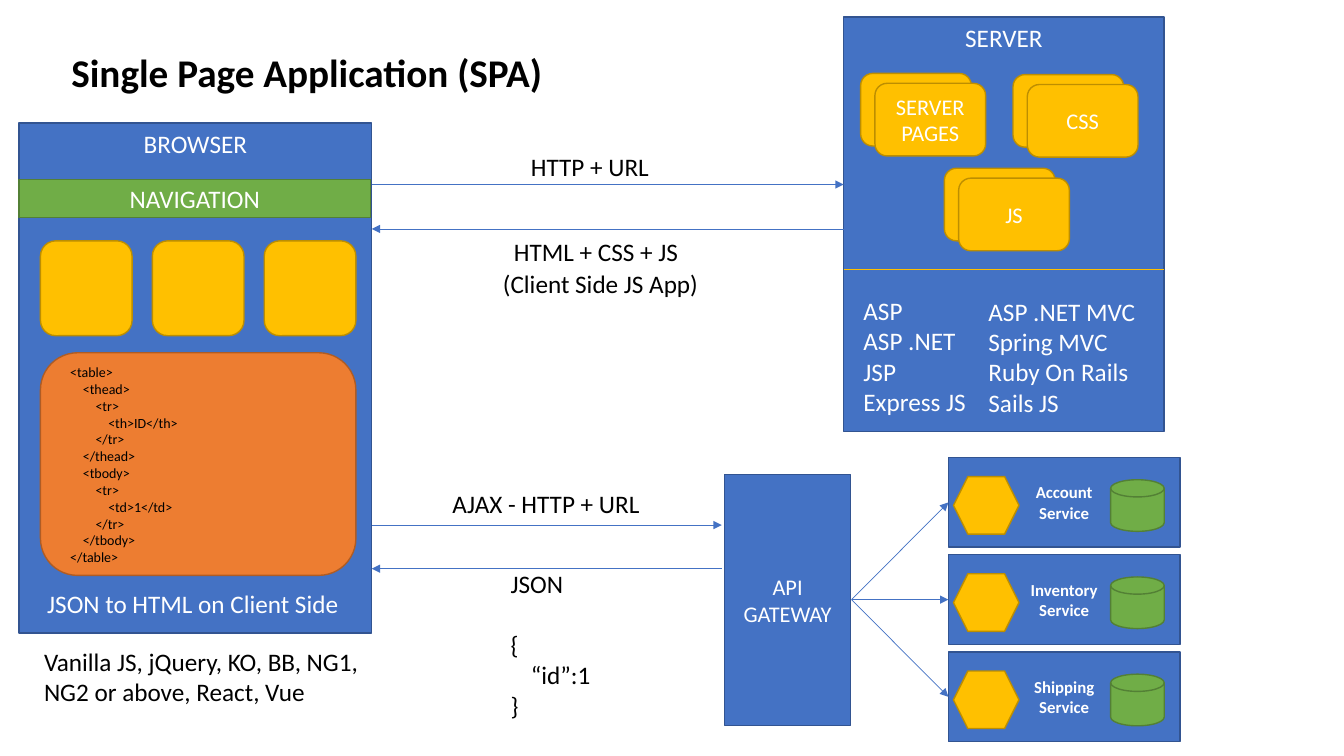
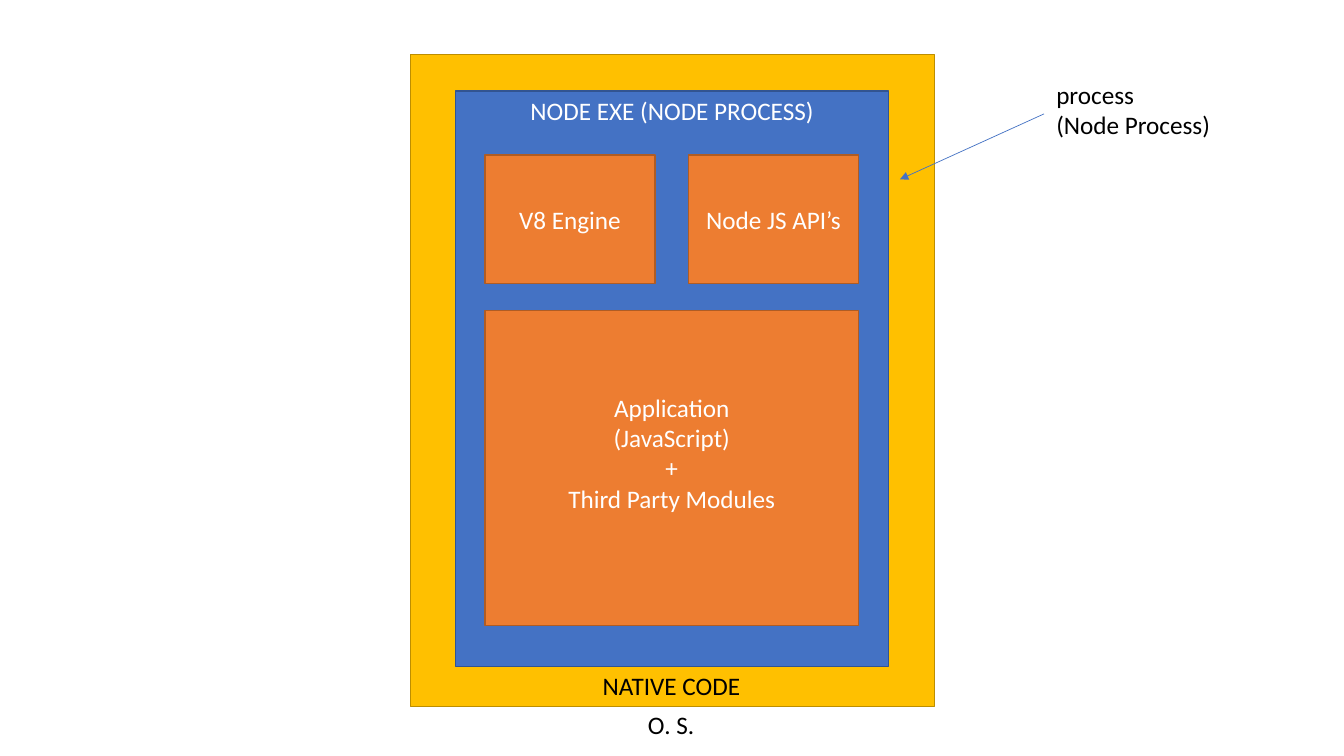
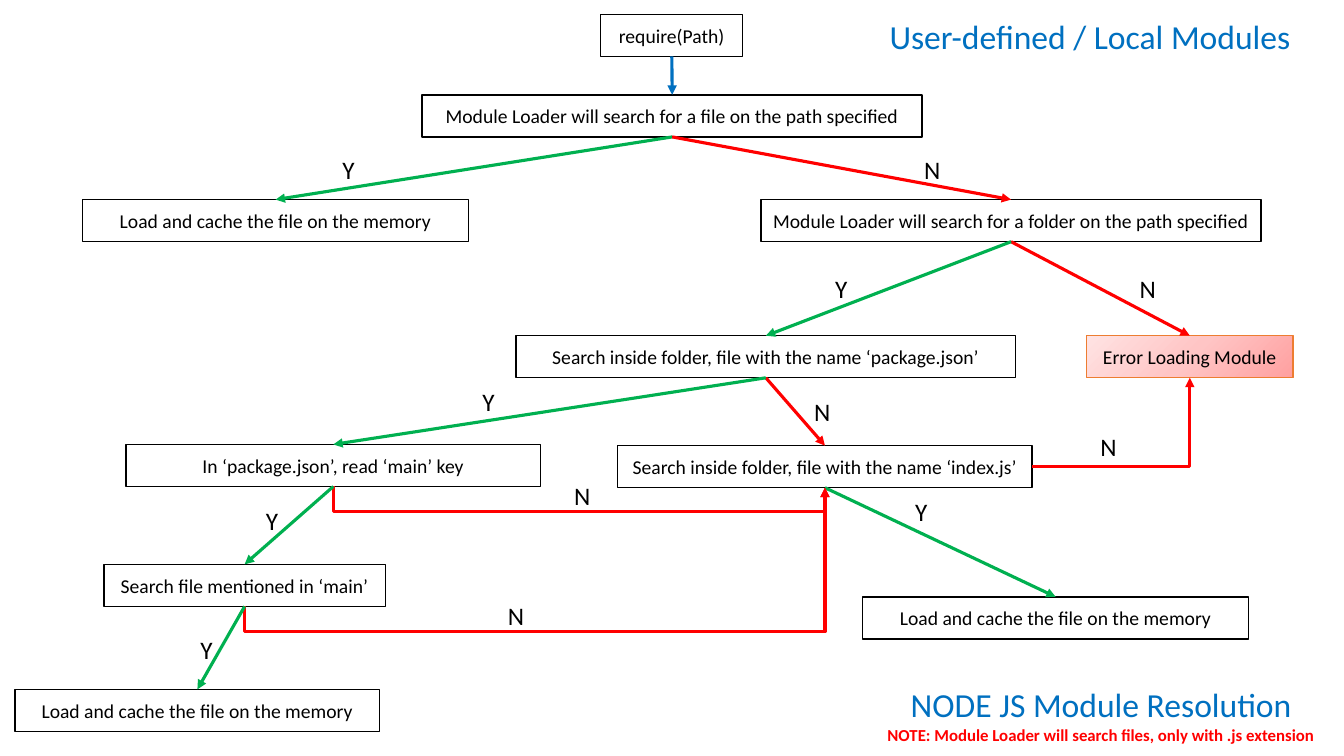
from lxml import etree
from pptx import Presentation
from pptx import util as u
from pptx.dml.color import RGBColor
from pptx.enum import shapes as sh, text as tx
from pptx.oxml import parse_xml
from pptx.oxml.ns import nsdecls, qn

FONT = "Calibri"
BLACK, WHITE, RED = "000000", "FFFFFF", "FF0000"
GREEN_ARROW, HEADING_BLUE = "00B050", "0070C0"
# (fill, outline) pairs
BLUE = ("4472C4", "325491")
GOLD = ("FFC000", "BD8E00")
GREEN = ("70AD47", "538035")
ORANGE = ("ED7D31", "AF5C24")
PLAIN = (WHITE, BLACK)

RECT = sh.MSO_SHAPE.RECTANGLE
ROUND = sh.MSO_SHAPE.ROUNDED_RECTANGLE
TOP, MIDDLE = tx.MSO_ANCHOR.TOP, tx.MSO_ANCHOR.MIDDLE
LEFT, CENTER = tx.PP_ALIGN.LEFT, tx.PP_ALIGN.CENTER
# connection sites of a rectangle
SITE_TOP, SITE_BOTTOM, SITE_RIGHT = 0, 2, 3


def rgb(value):
    return RGBColor.from_string(value)


# ---------- text ----------
def add_line(frame, words, size, color, bold=False, align=LEFT):
    first = frame.paragraphs[0]
    line = frame.add_paragraph() if first.runs else first
    line.alignment = align
    run = line.add_run()
    run.text = words
    run.font.name, run.font.size = FONT, u.Pt(size)
    run.font.bold = bold
    run.font.color.rgb = rgb(color)
    return line


def indent(line, distance):
    line._p.get_or_add_pPr().set("marL", str(u.Cm(distance)))


def label(slide, x, y, w, h, lines, size=18, color=BLACK, bold=False,
          align=LEFT, wrap=False):
    box = slide.shapes.add_textbox(u.Cm(x), u.Cm(y), u.Cm(w), u.Cm(h))
    frame = box.text_frame
    frame.word_wrap = wrap
    frame.auto_size = tx.MSO_AUTO_SIZE.SHAPE_TO_FIT_TEXT
    for words in lines:
        add_line(frame, words, size, color, bold, align)
    return frame


# ---------- shapes ----------
def block(parent, x, y, w, h, colors, lines=(), size=18, color=WHITE,
          bold=False, anchor=MIDDLE, kind=RECT):
    shape = parent.shapes.add_shape(kind, u.Cm(x), u.Cm(y), u.Cm(w), u.Cm(h))
    shape.shadow.inherit = False
    fill, outline = colors
    shape.fill.solid()
    shape.fill.fore_color.rgb = rgb(fill)
    shape.line.color.rgb = rgb(outline)
    shape.line.width = u.Pt(1)
    shape.text_frame.vertical_anchor = anchor
    for words in lines:
        add_line(shape.text_frame, words, size, color, bold, CENTER)
    return shape


def stack(slide, x, y, name):
    """Two overlapping cards, the front one named."""
    pair = slide.shapes.add_group_shape()
    for shift, lines in ((0, ()), (1, (name,))):
        block(pair, x + 0.36 * shift, y + 0.25 * shift, 2.79, 1.83, GOLD,
              lines, size=16, kind=ROUND)


def service(slide, x, y, name):
    unit = slide.shapes.add_group_shape()
    block(unit, x, y, 5.84, 2.26, BLUE, (name, "Service"), size=12, bold=True)
    block(unit, x + 0.13, y + 0.48, 1.65, 1.45, GOLD, kind=sh.MSO_SHAPE.HEXAGON)
    block(unit, x + 4.09, y + 0.56, 1.35, 1.3, GREEN,
          kind=sh.MSO_SHAPE.FLOWCHART_MAGNETIC_DISK)


def pink_gradient(shape):
    stops = "".join(
        f'<a:gs pos="{pos}"><a:srgbClr val="{color}"/></a:gs>'
        for pos, color in ((0, "FFA0A0"), (50000, "FFC5C5"), (100000, "FFE3E3")))
    gradient = parse_xml(
        f'<a:gradFill {nsdecls("a")} rotWithShape="1"><a:gsLst>{stops}</a:gsLst>'
        '<a:path path="circle"><a:fillToRect l="100000" t="100000"/></a:path>'
        '</a:gradFill>')
    properties = shape._element.spPr
    properties.replace(properties.find(qn("a:solidFill")), gradient)


# ---------- connectors ----------
def connector(slide, start, end, color, width, arrow=True,
              kind=sh.MSO_CONNECTOR.STRAIGHT):
    line = slide.shapes.add_connector(kind, *start, *end)
    line.line.color.rgb = rgb(color)
    line.line.width = u.Pt(width)
    if arrow:
        etree.SubElement(line.line._get_or_add_ln(), qn("a:tailEnd"),
                         type="triangle")
    etree.SubElement(line._element.spPr, qn("a:effectLst"))
    return line


def thin_line(slide, x1, y1, x2, y2, color=BLUE[0], arrow=True):
    connector(slide, (u.Cm(x1), u.Cm(y1)), (u.Cm(x2), u.Cm(y2)), color, 0.5, arrow)


def site_point(shape, site):
    if site == SITE_RIGHT:
        return shape.left + shape.width, shape.top + shape.height // 2
    drop = shape.height if site == SITE_BOTTOM else 0
    return shape.left + shape.width // 2, shape.top + drop


def link(slide, source, target, color, out=SITE_BOTTOM, into=SITE_TOP,
         kind=sh.MSO_CONNECTOR.STRAIGHT):
    line = connector(slide, site_point(source, out), site_point(target, into),
                     color, 2.25, kind=kind)
    line.begin_connect(source, out)
    line.end_connect(target, into)
    return line


def corner_link(slide, source, target, color):
    """Right out of the source, then up into the target."""
    line = link(slide, source, target, color, SITE_RIGHT, SITE_BOTTOM,
                sh.MSO_CONNECTOR.ELBOW)
    line._element.spPr.find(qn("a:prstGeom")).set("prst", "bentConnector2")


def under_link(slide, source, target, color, drop=0.64):
    """Down from the source, across, and up into the target's bottom edge."""
    line = link(slide, source, target, color, SITE_BOTTOM, SITE_BOTTOM,
                sh.MSO_CONNECTOR.ELBOW)
    (x1, y1), (x2, y2) = (site_point(source, SITE_BOTTOM),
                          site_point(target, SITE_BOTTOM))
    rise, across = y2 - y1, x2 - x1
    line.width, line.height = abs(rise), across
    line.left = (x1 + x2 - abs(rise)) // 2
    line.top = (y1 + y2 - across) // 2
    frame = line._element.spPr.find(qn("a:xfrm"))
    frame.set("flipH", "1")
    frame.set("flipV", "1" if rise < 0 else "0")
    frame.set("rot", "5400000" if rise < 0 else "16200000")
    geometry = line._element.spPr.find(qn("a:prstGeom"))
    guides = geometry.find(qn("a:avLst"))
    if guides is None:
        guides = etree.SubElement(geometry, qn("a:avLst"))
    bend = round(u.Cm(drop) / rise * 100000)
    etree.SubElement(guides, qn("a:gd"), name="adj1", fmla=f"val {bend}")


# ---------- slides ----------
def spa_slide(slide):
    label(slide, 1.55, 1.09, 12.93, 1.45, ["Single Page Application (SPA)"],
          size=28, bold=True)

    # Server
    block(slide, 21.26, 0.43, 8.08, 10.44, BLUE, ["SERVER"], anchor=TOP)
    for x, y, name in ((21.69, 1.85, "SERVER PAGES"), (25.53, 1.88, "CSS"),
                       (23.8, 4.24, "JS")):
        stack(slide, x, y, name)
    thin_line(slide, 21.26, 6.78, 29.34, 6.78, GOLD[0], arrow=False)
    label(slide, 21.51, 7.32, 3.12, 3.33,
          ["ASP", "ASP .NET", "JSP", "Express JS"], color=WHITE)
    label(slide, 24.66, 7.34, 4.52, 3.33,
          ["ASP .NET MVC", "Spring MVC", "Ruby On Rails", "Sails JS"],
          color=WHITE, wrap=True)

    # Browser
    block(slide, 0.48, 3.1, 8.89, 12.85, BLUE, ["BROWSER"], anchor=TOP)
    block(slide, 0.48, 4.52, 8.86, 0.97, GREEN, ["NAVIGATION"])
    for column in range(3):
        block(slide, 1.02 + 2.82 * column, 6.07, 2.31, 2.39, GOLD, kind=ROUND)
    block(slide, 1.02, 8.89, 7.95, 5.61, ORANGE, kind=ROUND)
    markup = label(slide, 1.52, 9.04, 6.2, 5.38, (), wrap=True)
    for level, tag in ((0, "<table>"), (1, "<thead>"), (2, "<tr>"),
                       (3, "<th>ID</th>"), (2, "</tr>"), (1, "</thead>"),
                       (1, "<tbody>"), (2, "<tr>"), (3, "<td>1</td>"),
                       (2, "</tr>"), (1, "</tbody>"), (0, "</table>")):
        indent(add_line(markup, tag, 10, BLACK), 0.32 * level)
    label(slide, 0.94, 14.71, 7.95, 1.02, ["JSON to HTML on Client Side"],
          color=WHITE)
    label(slide, 0.86, 16.15, 8.53, 1.8,
          ["Vanilla JS, jQuery, KO, BB, NG1,", "NG2 or above, React, Vue"])

    # Page request and response
    thin_line(slide, 9.37, 4.65, 21.26, 4.65)
    thin_line(slide, 21.26, 5.77, 9.37, 5.77)
    label(slide, 13.13, 3.68, 3.53, 1.02, ["HTTP + URL"])
    label(slide, 12.67, 5.82, 4.7, 1.02, ["HTML + CSS + JS"], align=CENTER)
    label(slide, 11.91, 6.63, 6.45, 1.02, ["(Client Side JS App)"],
          align=CENTER, wrap=True)

    # Data request and response
    thin_line(slide, 9.37, 13.23, 18.19, 13.23)
    thin_line(slide, 18.19, 14.33, 9.37, 14.33)
    label(slide, 11.15, 12.19, 5.28, 1.02, ["AJAX - HTTP + URL"])
    reply = label(slide, 12.62, 14.2, 2.54, 4.11, ["JSON", "{", "“id”:1", "}"])
    reply.paragraphs[1].space_before = u.Pt(22)
    indent(reply.paragraphs[2], 0.51)

    # Gateway and services
    block(slide, 18.26, 11.96, 3.18, 6.32, BLUE, ["API GATEWAY"], size=16)
    for row, name in enumerate(("Account", "Inventory", "Shipping")):
        y = 11.53 + 2.45 * row
        service(slide, 23.9, y, name)
        thin_line(slide, 21.46, 15.11, 23.9, y + 1.13)


def node_process_slide(slide):
    # Native code around the process
    block(slide, 10.34, 1.37, 13.21, 16.43, GOLD)
    label(slide, 14.94, 16.76, 4.01, 1.02, ["NATIVE CODE"])
    label(slide, 16.08, 17.75, 1.68, 1.02, ["O. S."])

    # Process and its parts
    block(slide, 11.48, 2.29, 10.92, 14.5, BLUE, ["NODE EXE (NODE PROCESS)"],
          anchor=TOP)
    for x, name in ((12.22, "V8 Engine"), (17.35, "Node JS API’s")):
        block(slide, x, 3.91, 4.29, 3.23, ORANGE, [name])
    application = block(slide, 12.22, 7.82, 9.42, 7.95, ORANGE,
                        ["Application", "(JavaScript)", "+",
                         "Third Party Modules"])
    application.text_frame.margin_bottom = u.Cm(0.9)

    # Callout
    label(slide, 26.37, 1.88, 4.45, 1.8, ["process", "(Node Process)"])
    thin_line(slide, 26.31, 2.87, 22.68, 4.52)


def module_slide(slide):
    # Headings
    label(slide, 22.1, 0.28, 10.74, 1.27, ["User-defined / Local Modules"],
          size=24, color=HEADING_BLUE, align=CENTER)
    footer = label(slide, 22.05, 17.12, 11.4, 1.8, ["NODE JS Module Resolution"],
                   size=24, color=HEADING_BLUE, align=CENTER)
    add_line(footer, "NOTE: Module Loader will search files, only with .js extension",
             12, RED, True, CENTER)

    # Steps
    def step(x, y, w, words, colors=PLAIN):
        return block(slide, x, y, w, 1.06, colors, [words], size=14, color=BLACK)

    cached = "Load and cache the file on the memory"
    require = step(15.14, 0.36, 3.58, "require(Path)")
    find_file = step(10.64, 2.39, 12.6,
                     "Module Loader will search for a file on the path specified")
    file_cached = step(2.08, 5.03, 9.73, cached)
    find_folder = step(19.18, 5.03, 12.6,
                       "Module Loader will search for a folder on the path specified")
    error = step(27.38, 8.46, 5.21, "Error Loading Module", (WHITE, ORANGE[0]))
    pink_gradient(error)
    package_json = step(13, 8.46, 12.6,
                        "Search inside folder, file with the name ‘package.json’")
    index_js = step(15.57, 11.23, 10.44,
                    "Search inside folder, file with the name ‘index.js’")
    index_cached = step(21.74, 15.04, 9.73, cached)
    main_key = step(3.18, 11.2, 10.44, "In ‘package.json’, read ‘main’ key")
    main_file = step(2.62, 14.22, 7.09, "Search file mentioned in ‘main’")
    main_cached = step(0.38, 17.37, 9.19, cached)

    # Decisions: route, source, target, answer and its place
    link(slide, require, find_file, HEADING_BLUE)
    for route, source, target, answer, x, y in (
            (link, find_file, file_cached, "Y", 8.38, 3.76),
            (link, find_file, find_folder, "N", 23.04, 3.76),
            (link, find_folder, error, "N", 28.47, 6.76),
            (link, find_folder, package_json, "Y", 20.8, 6.76),
            (link, package_json, index_js, "N", 20.27, 9.86),
            (link, package_json, main_key, "Y", 11.91, 9.6),
            (corner_link, index_js, error, "N", 27.48, 10.74),
            (link, index_js, index_cached, "Y", 22.81, 12.37),
            (under_link, main_key, index_js, "N", 14.22, 11.99),
            (link, main_key, main_file, "Y", 6.45, 12.6),
            (under_link, main_file, index_js, "N", 12.55, 15.01),
            (link, main_file, main_cached, "Y", 4.8, 15.85)):
        route(slide, source, target, GREEN_ARROW if answer == "Y" else RED)
        label(slide, x, y, 0.81 if answer == "Y" else 0.91, 1.02, [answer])


def main():
    deck = Presentation()
    deck.slide_width, deck.slide_height = u.Cm(33.87), u.Cm(19.05)
    blank = deck.slide_layouts[6]
    for build in (spa_slide, node_process_slide, module_slide):
        build(deck.slides.add_slide(blank))
    deck.save("out.pptx")


if __name__ == "__main__":
    main()
